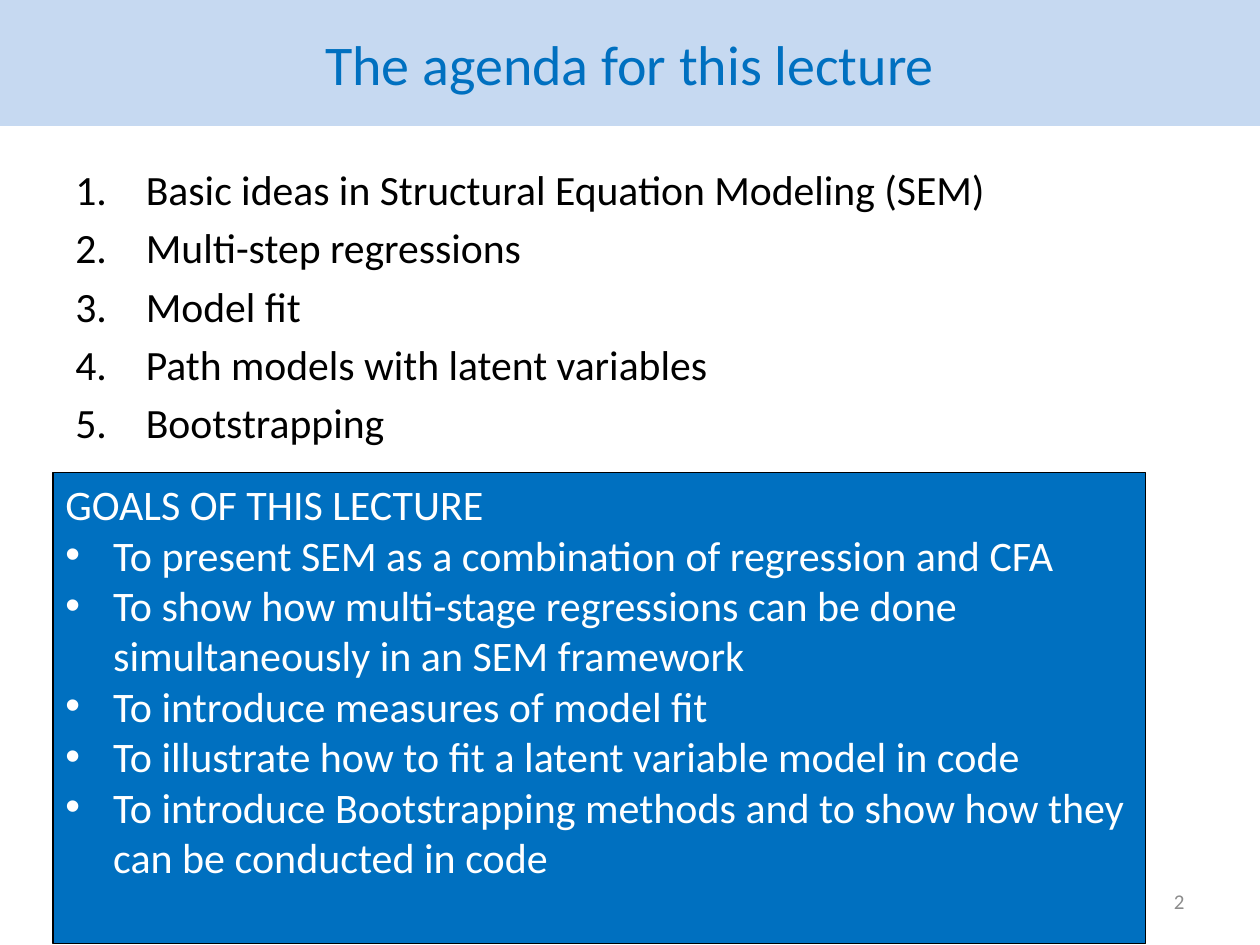
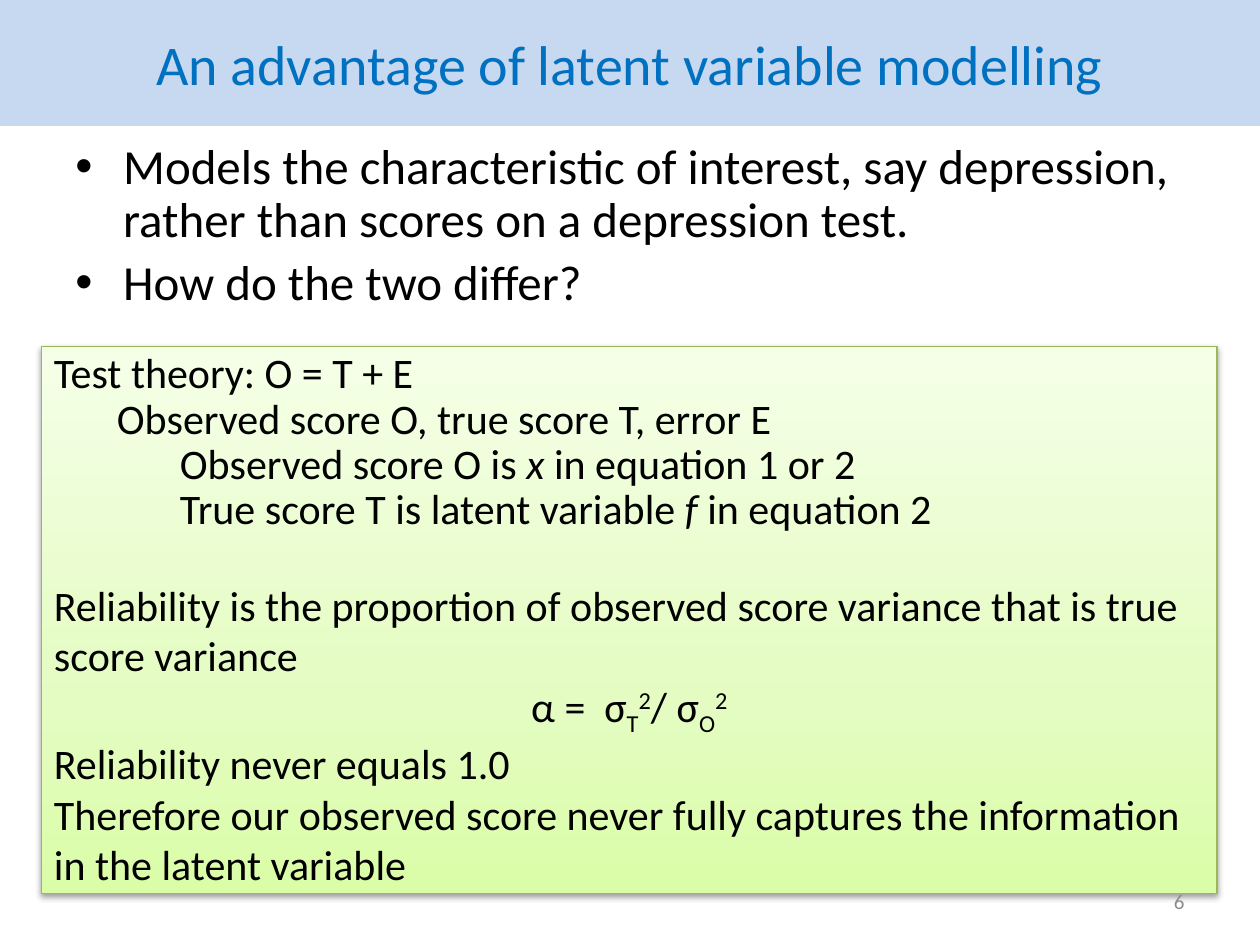
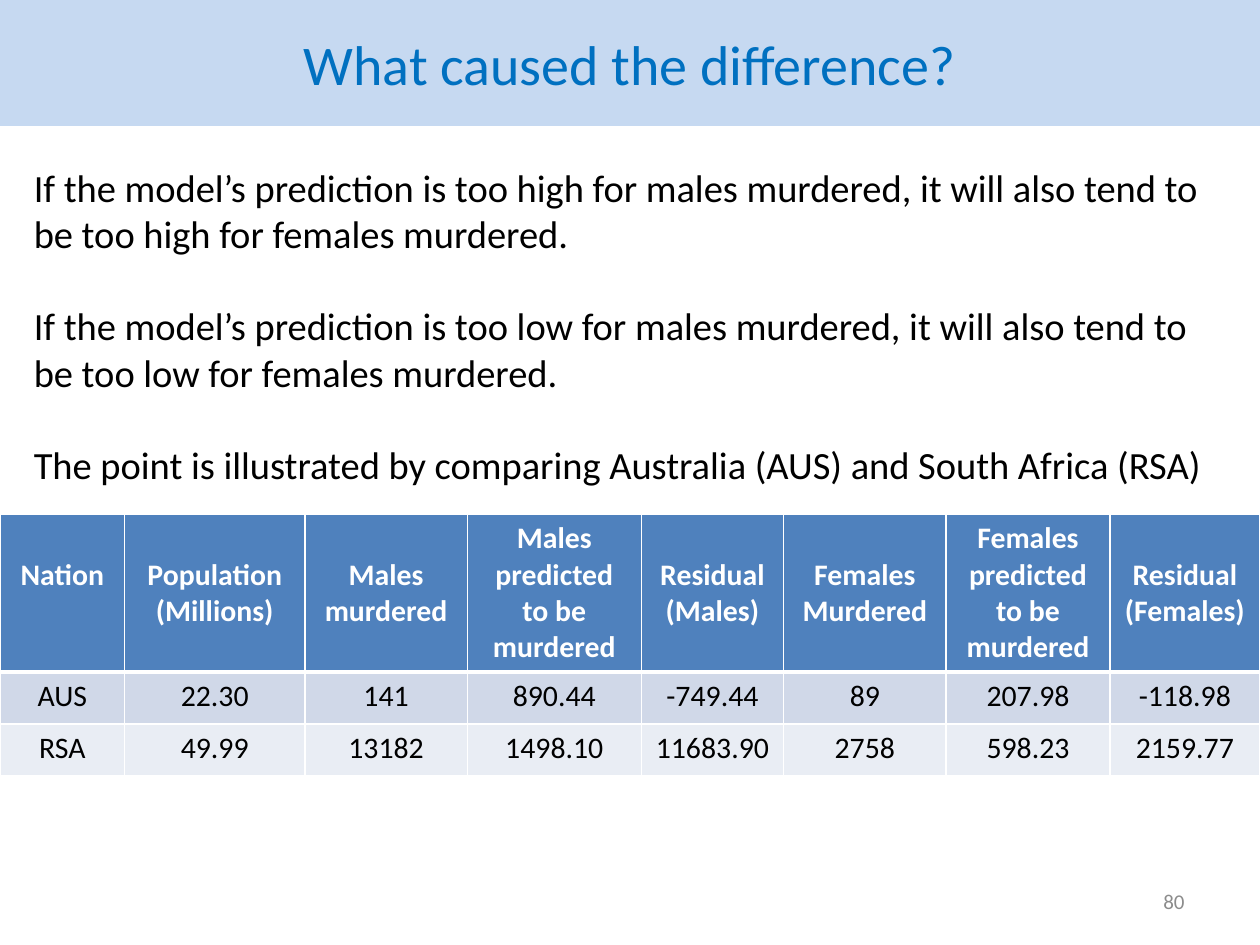
"""Build three lecture slides on structural equation modelling."""
from lxml.etree import SubElement
from pptx import Presentation
from pptx.dml.color import RGBColor
from pptx.enum.shapes import MSO_SHAPE as Shape
from pptx.enum.text import MSO_ANCHOR as Anchor, PP_ALIGN as Align
from pptx.oxml.ns import qn
from pptx.util import Inches, Pt

FONT = "Calibri"
COLORS = {
    "band": "C6D9F1", "blue": "0070C0", "black": "000000", "white": "FFFFFF",
    "number": "8C8C8C", "green_line": "98B955", "green_deep": "DAFDA7",
    "green_mid": "E4FCC2", "green_pale": "F5FFE7", "header": "4F81BD",
    "row_dark": "D0D8E8", "row_light": "E9EDF4",
}
AGENDA = [
    "Basic ideas in Structural Equation Modeling (SEM)",
    "Multi-step regressions",
    "Model fit",
    "Path models with latent variables",
    "Bootstrapping",
]
GOALS = [
    "To present SEM as a combination of regression and CFA",
    "To show how multi-stage regressions can be done simultaneously in an SEM framework",
    "To introduce measures of model fit",
    "To illustrate how to fit a latent variable model in code",
    "To introduce Bootstrapping methods and to show how they can be conducted in code",
]
ADVANTAGES = [
    "Models the characteristic of interest, say depression, rather than scores on a depression test.",
    "How do the two differ?",
]
TEST_THEORY = [
    (0, ["Test theory: O = T + E"]),
    (0.5, ["Observed score O, true score T, error E"]),
    (1, ["Observed score O is ", ("x", "italic"), " in equation 1 or 2"]),
    (1, ["True score T is latent variable ", ("f", "italic"), " in equation 2"]),
]
RELIABILITY = "Reliability is the proportion of observed score variance that is true score variance"
FORMULA = ["α =  σ", ("T", "sub"), ("2", "super"), "/ σ", ("O", "sub"), ("2", "super")]
CONCLUSIONS = [
    "Reliability never equals 1.0",
    "Therefore our observed score never fully captures the information in the latent variable",
]
PREDICTIONS = [
    "If the model’s prediction is too high for males murdered, it will also tend to be too high for females murdered.",
    "If the model’s prediction is too low for males murdered, it will also tend to be too low for females murdered.",
    "The point is illustrated by comparing Australia (AUS) and South Africa (RSA)",
]
MURDER_HEADER = [
    ["Nation"], ["Population", "(Millions)"], ["Males", "murdered"],
    ["Males", "predicted to be murdered"], ["Residual", "(Males)"],
    ["Females", "Murdered"], ["Females", "predicted to be murdered"],
    ["Residual", "(Females)"],
]
MURDER_ROWS = [
    ["AUS", "22.30", "141", "890.44", "-749.44", "89", "207.98", "-118.98"],
    ["RSA", "49.99", "13182", "1498.10", "11683.90", "2758", "598.23", "2159.77"],
]
COLUMN_WIDTHS = [0.99, 1.43, 1.29, 1.38, 1.13, 1.29, 1.3, 1.19]
ROW_HEIGHTS = [1.25, 0.41, 0.41]


def rgb(name):
    """Return the named colour."""
    return RGBColor.from_string(COLORS[name])


def add_run(paragraph, text, size, color, style=None):
    """Append one run, optionally bold, italic, subscript or superscript."""
    run = paragraph.add_run()
    run.text = text
    font = run.font
    font.name, font.size = FONT, Pt(size)
    font.color.rgb = rgb(color)
    if style == "bold":
        font.bold = True
    elif style == "italic":
        font.italic = True
    elif style in ("sub", "super"):
        shift = {"sub": "-25000", "super": "30000"}[style]
        run._r.get_or_add_rPr().set("baseline", shift)


def add_paragraph(frame, parts, size, color="black", align=Align.LEFT, before=0, spacing=None):
    """Add a paragraph made of plain strings and (text, style) pairs."""
    first = frame.paragraphs[0]
    paragraph = frame.add_paragraph() if first.runs else first
    paragraph.alignment = align
    paragraph.space_before = Pt(before)
    if spacing:
        paragraph.line_spacing = spacing
    for part in [parts] if isinstance(parts, str) else parts:
        text, style = (part, None) if isinstance(part, str) else part
        add_run(paragraph, text, size, color, style)
    return paragraph


def set_indent(paragraph, left, hanging=0):
    """Set the left margin and hanging indent in inches."""
    properties = paragraph._p.get_or_add_pPr()
    properties.set("marL", str(Inches(left)))
    properties.set("indent", str(-Inches(hanging)))
    return properties


def set_bullet(paragraph, indent=0.38, numbered=False):
    """Give a paragraph a hanging bullet or number."""
    properties = set_indent(paragraph, indent, indent)
    if numbered:
        SubElement(properties, qn("a:buFont"), typeface="+mj-lt")
        SubElement(properties, qn("a:buAutoNum"), type="arabicPeriod")
    else:
        SubElement(properties, qn("a:buFont"), typeface="Arial")
        SubElement(properties, qn("a:buChar"), char="•")


def add_text_area(slide, left, top, width, height):
    """Add a wrapping text box and return its frame."""
    area = slide.shapes.add_textbox(Inches(left), Inches(top), Inches(width), Inches(height))
    area.text_frame.word_wrap = True
    return area.text_frame


def add_panel(slide, left, top, width, height, line):
    """Add an outlined rectangle for top-anchored text."""
    panel = slide.shapes.add_shape(
        Shape.RECTANGLE, Inches(left), Inches(top), Inches(width), Inches(height))
    panel.shadow.inherit = False
    panel.line.color.rgb = rgb(line)
    panel.line.width = Pt(0.75)
    panel.text_frame.word_wrap = True
    panel.text_frame.vertical_anchor = Anchor.TOP
    return panel


def add_color(parent, name):
    """Append a colour element to an XML parent and return it."""
    return SubElement(parent, qn("a:srgbClr"), val=COLORS[name])


def style_green(panel):
    """Apply the pale green gradient and soft shadow."""
    panel.fill.gradient()
    panel.fill.gradient_angle = 90
    properties = panel._element.spPr
    stops = properties.find(".//" + qn("a:gsLst"))
    for stop in list(stops):
        stops.remove(stop)
    for percent, name in [(0, "green_deep"), (35, "green_mid"), (100, "green_pale")]:
        add_color(SubElement(stops, qn("a:gs"), pos=str(percent * 1000)), name)
    shadow = SubElement(
        properties.find(qn("a:effectLst")), qn("a:outerShdw"),
        blurRad=str(Pt(3.1)), dist=str(Pt(1.6)), dir="5400000", rotWithShape="0")
    SubElement(add_color(shadow, "black"), qn("a:alpha"), val="38000")


def add_titled_slide(deck, heading):
    """Add a slide with its title in the blue band."""
    slide = deck.slides.add_slide(deck.slide_layouts[5])
    title = slide.shapes.title
    title.left, title.top = Inches(0), Inches(0)
    title.width, title.height = deck.slide_width, Inches(1)
    title.fill.solid()
    title.fill.fore_color.rgb = rgb("band")
    title.text_frame.vertical_anchor = Anchor.MIDDLE
    add_paragraph(title.text_frame, heading, 32, "blue", Align.CENTER)
    return slide


def add_page_number(slide, number):
    """Add the grey page number at the bottom right."""
    frame = add_text_area(slide, 7.17, 6.95, 2.33, 0.4)
    frame.vertical_anchor = Anchor.MIDDLE
    add_paragraph(frame, str(number), 12, "number", Align.RIGHT)


def style_cell(cell, fill, bottom=1):
    """Fill a cell and draw its white borders."""
    properties = cell._tc.get_or_add_tcPr()
    for side, width in [("L", 1), ("R", 1), ("T", 1), ("B", bottom)]:
        border = SubElement(properties, qn("a:ln" + side), w=str(Pt(width)))
        add_color(SubElement(border, qn("a:solidFill")), "white")
    cell.fill.solid()
    cell.fill.fore_color.rgb = rgb(fill)


def add_murder_table(slide):
    """Add the table that compares predictions for the two nations."""
    table = slide.shapes.add_table(
        len(ROW_HEIGHTS), len(COLUMN_WIDTHS), Inches(0), Inches(4.08),
        Inches(10), Inches(sum(ROW_HEIGHTS))).table
    for column, width in zip(table.columns, COLUMN_WIDTHS):
        column.width = Inches(width)
    for row, height in zip(table.rows, ROW_HEIGHTS):
        row.height = Inches(height)
    for index, lines in enumerate(MURDER_HEADER):
        cell = table.cell(0, index)
        style_cell(cell, "header", bottom=3)
        if "predicted to be murdered" not in lines:
            cell.margin_top = Inches(0.34)
        for line in lines:
            add_paragraph(cell.text_frame, [(line, "bold")], 17, "white", Align.CENTER)
    for row, values in enumerate(MURDER_ROWS, start=1):
        for index, value in enumerate(values):
            cell = table.cell(row, index)
            style_cell(cell, "row_dark" if row % 2 else "row_light")
            add_paragraph(cell.text_frame, value, 17, align=Align.CENTER)


def build_agenda(deck):
    """Build the agenda and goals slide."""
    slide = add_titled_slide(deck, "The agenda for this lecture")
    agenda = add_text_area(slide, 0.5, 1.25, 9, 2.08)
    for topic in AGENDA:
        set_bullet(add_paragraph(agenda, topic, 23.8, before=4.8), 0.56, numbered=True)
    goals = add_panel(slide, 0.42, 3.75, 8.67, 3.74, "black")
    goals.fill.solid()
    goals.fill.fore_color.rgb = rgb("blue")
    add_paragraph(goals.text_frame, "GOALS OF THIS LECTURE", 24, "white")
    for goal in GOALS:
        set_bullet(add_paragraph(goals.text_frame, goal, 24, "white"))
    add_page_number(slide, 2)


def build_advantage(deck):
    """Build the slide on test theory and reliability."""
    slide = add_titled_slide(deck, "An advantage of latent variable modelling")
    advantages = add_text_area(slide, 0.5, 1.08, 9, 3.33)
    for advantage in ADVANTAGES:
        set_bullet(add_paragraph(advantages, advantage, 28, before=5.6, spacing=0.9))
    theory = add_panel(slide, 0.33, 2.75, 9.33, 4.34, "green_line")
    style_green(theory)
    frame = theory.text_frame
    for indent, parts in TEST_THEORY:
        set_indent(add_paragraph(frame, parts, 24, spacing=0.9), indent)
    add_paragraph(frame, RELIABILITY, 24, before=26)
    add_paragraph(frame, FORMULA, 24, align=Align.CENTER)
    for conclusion in CONCLUSIONS:
        add_paragraph(frame, conclusion, 24)
    add_page_number(slide, 6)


def build_difference(deck):
    """Build the slide that compares two nations."""
    slide = add_titled_slide(deck, "What caused the difference?")
    add_murder_table(slide)
    explanation = add_text_area(slide, 0.17, 1.25, 9.67, 3.06)
    for index, prediction in enumerate(PREDICTIONS):
        add_paragraph(explanation, prediction, 22, before=26.5 if index else 0)
    add_page_number(slide, 80)


def main():
    """Build and save the deck."""
    deck = Presentation()
    deck.slide_width, deck.slide_height = Inches(10), Inches(7.5)
    build_agenda(deck)
    build_advantage(deck)
    build_difference(deck)
    deck.save("out.pptx")


if __name__ == "__main__":
    main()
